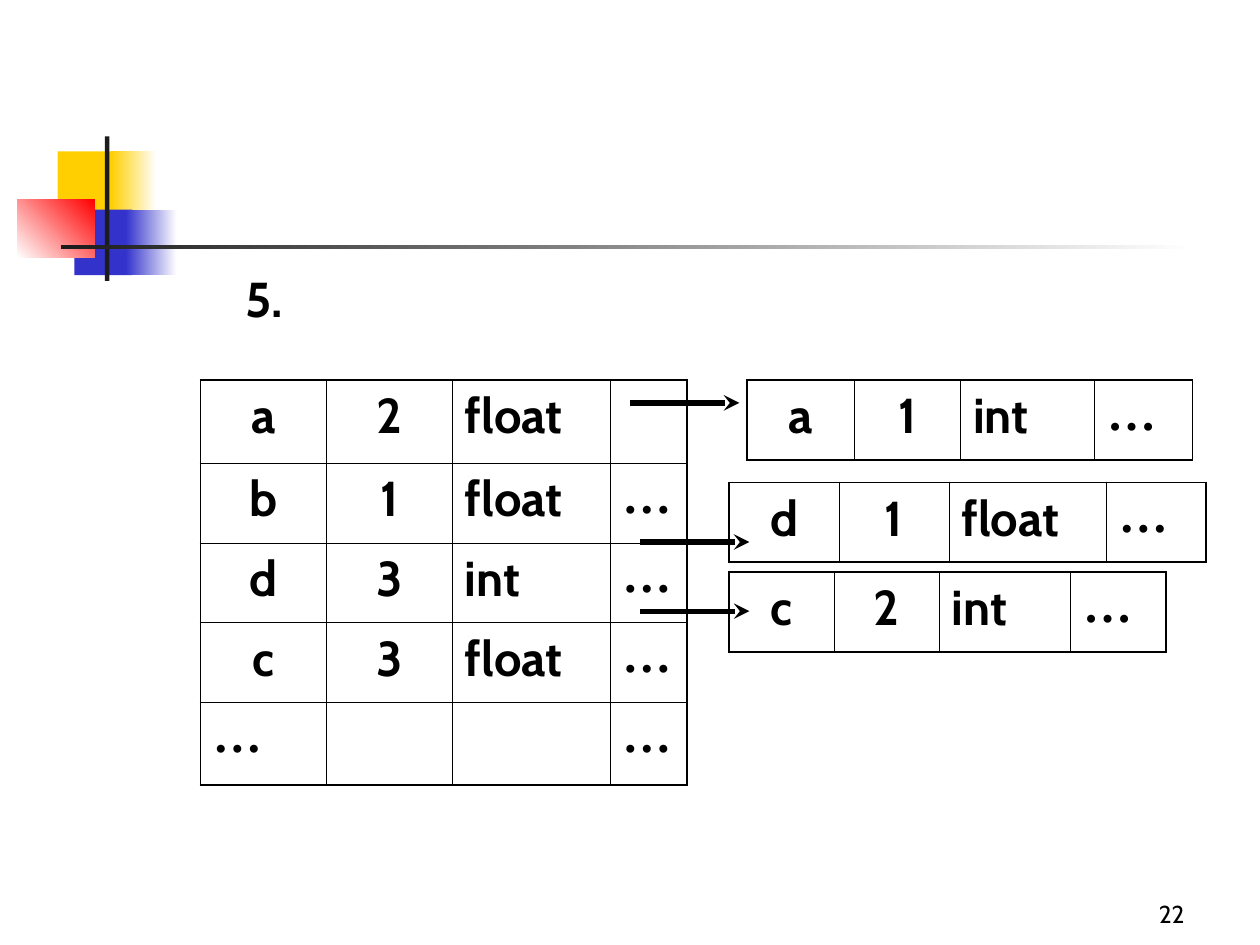
"""Build the slide showing a table of declarations with linked entries."""
from dataclasses import dataclass

from lxml.etree import SubElement
from pptx import Presentation
from pptx.dml.color import RGBColor
from pptx.enum.shapes import MSO_CONNECTOR, MSO_SHAPE
from pptx.enum.text import MSO_ANCHOR, PP_ALIGN
from pptx.oxml.ns import qn
from pptx.util import Pt


@dataclass(frozen=True)
class Theme:
    text: str = "000000"
    bar: str = "1C1C1C"
    yellow: str = "FFCF01"
    blue: str = "3333CC"
    red: str = "FF0000"
    white: str = "FFFFFF"
    font: str = "Cabin"
    ellipsis_font: str = "Times New Roman"
    body: int = 28
    number: int = 14
    thin: float = 0.45
    thick: float = 1.08
    arrow: int = 3


theme = Theme()


def write(tf, text, size, bold, align, font=theme.font):
    p = tf.paragraphs[0]
    p.alignment = align
    p.font.name = font
    p.font.size = Pt(size)
    p.font.bold = bold
    p.font.color.rgb = RGBColor.from_string(theme.text)
    p.add_run().text = text


def add_border(tc_pr, side, width):
    ln = SubElement(tc_pr, qn(f"a:ln{side}"), w=str(Pt(width)))
    fill = SubElement(ln, qn("a:solidFill"))
    SubElement(fill, qn("a:srgbClr"), val=theme.text)


prs = Presentation()
prs.slide_width, prs.slide_height = Pt(720), Pt(540)
s = prs.slides.add_slide(prs.slide_layouts[6])

ornaments = [
    (33, 86.5, 34.5, 37.5, [theme.yellow], 0),
    (63.5, 86.5, 26, 37.5, [theme.yellow, theme.white], 0),
    (42.5, 119.75, 33, 37.5, [theme.blue], 0),
    (72, 119.75, 29, 37.5, [theme.blue, theme.white], 0),
    (10, 113.75, 44, 33.5, [theme.white, theme.red], 45),
    (60, 78, 2.5, 82.5, [theme.bar], 0),
    (35, 140, 648, 2.5, [theme.bar, theme.white], 0),
]
for x, y, w, h, colors, angle in ornaments:
    sp = s.shapes.add_shape(MSO_SHAPE.RECTANGLE, Pt(x), Pt(y), Pt(w), Pt(h))
    sp.shadow.inherit = False
    sp.line.fill.background()
    if len(colors) == 1:
        sp.fill.solid()
        sp.fill.fore_color.rgb = RGBColor.from_string(colors[0])
    else:
        sp.fill.gradient()
        sp.fill.gradient_angle = angle
        for stop, color, position in zip(sp.fill.gradient_stops, colors, (0, 1)):
            stop.color.rgb = RGBColor.from_string(color)
            stop.position = position

labels = [
    (534, 498, 150, 36, "22", theme.number, False, PP_ALIGN.RIGHT, MSO_ANCHOR.BOTTOM),
    (133, 150, 51, 47, "5.", theme.body, True, PP_ALIGN.LEFT, MSO_ANCHOR.TOP),
]
for x, y, w, h, text, size, bold, align, anchor in labels:
    tf = s.shapes.add_textbox(Pt(x), Pt(y), Pt(w), Pt(h)).text_frame
    tf.word_wrap = True
    tf.vertical_anchor = anchor
    write(tf, text, size, bold, align)

tables = [
    (114.5, 217.25, [72, 72, 90, 44], [47.5, 45.5, 45.5, 45.5, 47.5], [
        ["a", "2", "float", ""],
        ["b", "1", "float", "…"],
        ["d", "3", "int", "…"],
        ["c", "3", "float", "…"],
        ["…", "", "", "…"],
    ]),
    (427, 217.25, [61, 61, 76.5, 56], [45.5], [["a", "1", "int", "…"]]),
    (416.75, 275.75, [62.75, 62.75, 90, 57], [45.5], [["d", "1", "float", "…"]]),
    (416.75, 327, [60, 60, 75, 54.5], [45.5], [["c", "2", "int", "…"]]),
]
for x, y, widths, heights, rows in tables:
    table = s.shapes.add_table(len(rows), len(widths), Pt(x), Pt(y),
                               Pt(sum(widths)), Pt(sum(heights))).table
    table.first_row = table.horz_banding = False
    for column, width in zip(table.columns, widths):
        column.width = Pt(width)
    for row, height in zip(table.rows, heights):
        row.height = Pt(height)
    for i, values in enumerate(rows):
        for j, value in enumerate(values):
            cell = table.cell(i, j)
            outer = {"L": j == 0, "R": j == len(widths) - 1,
                     "T": i == 0, "B": i == len(rows) - 1}
            for side, is_outer in outer.items():
                add_border(cell._tc.get_or_add_tcPr(), side,
                           theme.thick if is_outer else theme.thin)
            cell.fill.background()
            if value:
                dots = value == "…"
                write(cell.text_frame, value, theme.body, True,
                      PP_ALIGN.CENTER if j < 2 and not dots else PP_ALIGN.LEFT,
                      theme.ellipsis_font if dots else theme.font)

for x, y in [(360, 230.25), (365.75, 309.75), (365.75, 349.25)]:
    arrow = s.shapes.add_connector(MSO_CONNECTOR.STRAIGHT, Pt(x), Pt(y), Pt(x + 62.5), Pt(y))
    arrow.line.color.rgb = RGBColor.from_string(theme.text)
    arrow.line.width = Pt(theme.arrow)
    SubElement(arrow.line._get_or_add_ln(), qn("a:tailEnd"), type="stealth")
    SubElement(arrow._element.spPr, qn("a:effectLst"))

prs.save("out.pptx")
